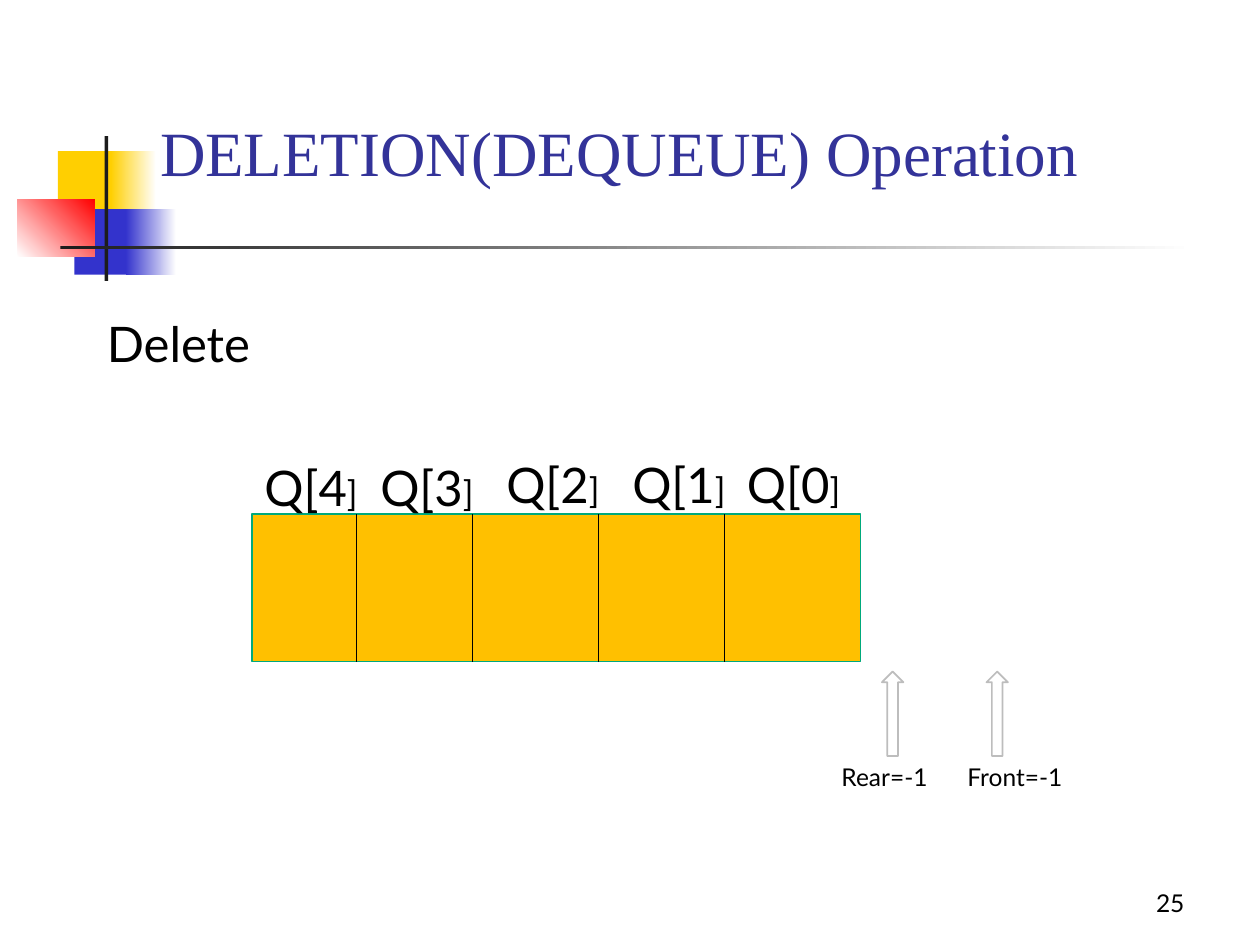
import pptx
import pptx.util
import pptx.dml.color
import pptx.enum.shapes
import pptx.enum.text
import pptx.oxml.ns
import lxml.etree

Inches = pptx.util.Inches
Pt = pptx.util.Pt
RGBColor = pptx.dml.color.RGBColor
Shape = pptx.enum.shapes.MSO_SHAPE
Anchor = pptx.enum.text.MSO_ANCHOR
Align = pptx.enum.text.PP_ALIGN
AutoSize = pptx.enum.text.MSO_AUTO_SIZE

WHITE = RGBColor(0xFF, 0xFF, 0xFF)
BLACK = RGBColor(0x00, 0x00, 0x00)
YELLOW = RGBColor(0xFF, 0xCF, 0x01)
BLUE = RGBColor(0x33, 0x33, 0xCC)
RED = RGBColor(0xFF, 0x00, 0x00)
CHARCOAL = RGBColor(0x1C, 0x1C, 0x1C)
TITLE_BLUE = RGBColor(0x33, 0x33, 0x99)
AMBER = RGBColor(0xFF, 0xC0, 0x00)
GREEN = RGBColor(0x00, 0xA9, 0x7C)
GREY = RGBColor(0xBD, 0xBD, 0xBD)
BODY_FONT = "Lato"
TITLE_FONT = "Times New Roman"


def add_figure(slide, kind, box, colors, outline=None, angle=0):
    """Add a preset shape with one solid colour or a two-colour gradient."""
    figure = slide.shapes.add_shape(kind, *map(Inches, box))
    figure.shadow.inherit = False
    if len(colors) == 1:
        figure.fill.solid()
        figure.fill.fore_color.rgb = colors[0]
    else:
        figure.fill.gradient()
        figure.fill.gradient_angle = angle
        for stop, color in zip(figure.fill.gradient_stops, colors):
            stop.color.rgb = color
    if outline is None:
        figure.line.fill.background()
    else:
        figure.line.color.rgb = outline
        figure.line.width = Pt(1)


def format_run(run, size, font=BODY_FONT, color=BLACK):
    """Set the typeface, size and colour of a run."""
    run.font.name = font
    run.font.size = Pt(size)
    run.font.color.rgb = color


def add_label(slide, box, parts):
    """Add a text box made of (text, size) parts on one line."""
    label = slide.shapes.add_textbox(*map(Inches, box))
    label.text_frame.word_wrap = True
    label.text_frame.auto_size = AutoSize.SHAPE_TO_FIT_TEXT
    for text, size in parts:
        run = label.text_frame.paragraphs[0].add_run()
        run.text = text
        format_run(run, size)
    return label


def add_ornament(slide, left, top):
    """Draw the coloured squares and crossing bars beside the title."""
    pieces = [
        ((0.32, 0.12, 0.48, 0.52), [YELLOW], 0),
        ((0.74, 0.12, 0.36, 0.52), [YELLOW, WHITE], 0),
        ((0.45, 0.58, 0.46, 0.52), [BLUE], 0),
        ((0.86, 0.58, 0.40, 0.52), [BLUE, WHITE], 0),
        ((0, 0.5, 0.61, 0.46), [WHITE, RED], 45),
        ((0.69, 0, 0.03, 1.15), [CHARCOAL], 0),
        ((0.34, 0.87, 9, 0.03), [CHARCOAL, WHITE], 0),
    ]
    for (x, y, width, height), colors, angle in pieces:
        add_figure(slide, Shape.RECTANGLE, (left + x, top + y, width, height),
                   colors, angle=angle)


def add_title(slide, box):
    """Fill and place the title placeholder."""
    title = slide.shapes.title
    title.left, title.top, title.width, title.height = map(Inches, box)
    frame = title.text_frame
    frame.text = "DELETION(DEQUEUE) Operation"
    frame.auto_size = AutoSize.NONE
    frame.vertical_anchor = Anchor.BOTTOM
    frame.paragraphs[0].alignment = Align.LEFT
    format_run(frame.paragraphs[0].runs[0], 36, TITLE_FONT, TITLE_BLUE)


def add_divider(slide, x, top, bottom):
    """Draw a thin vertical line between two queue cells."""
    divider = slide.shapes.add_connector(
        pptx.enum.shapes.MSO_CONNECTOR.STRAIGHT,
        Inches(x), Inches(top), Inches(x), Inches(bottom))
    divider.line.color.rgb = BLACK
    divider.line.width = Pt(0.5)
    lxml.etree.SubElement(divider._element.spPr, pptx.oxml.ns.qn("a:effectLst"))


def add_queue(slide, left, top, width, height):
    """Draw the queue with its dividers and the index above each cell."""
    add_figure(slide, Shape.RECTANGLE, (left, top, width, height), [AMBER], GREEN)
    for offset in (0.83, 1.75, 2.75, 3.75):
        add_divider(slide, left + offset, top, top + height)
    indexes = [(4, 0, 0.5, 0.97), (3, 0.92, 0.5, 1.07), (2, 1.92, 0.52, 1.08),
               (1, 2.92, 0.52, 1.02), (0, 3.83, 0.52, 1.12)]
    for index, offset, rise, label_width in indexes:
        add_label(slide, (left + offset, top - rise, label_width, 0.57),
                  [(f"Q[{index}", 28), ("]", 20)])


def add_pointer(slide, text, left, top, width, arrow_left):
    """Draw an upward arrow with the pointer's value below it."""
    add_figure(slide, Shape.UP_ARROW, (arrow_left, top, 0.17, 0.67), [WHITE], GREY)
    add_label(slide, (left, top + 0.67, width, 0.34), [(text, 14)])


def add_page_number(slide, box):
    """Place the page number at the lower right."""
    number = add_label(slide, box, [("25", 14)])
    number.text_frame.auto_size = AutoSize.NONE
    number.text_frame.vertical_anchor = Anchor.BOTTOM
    number.text_frame.paragraphs[0].alignment = Align.RIGHT


def main():
    """Build the slide and save it."""
    deck = pptx.Presentation()
    deck.slide_width, deck.slide_height = Inches(10), Inches(7.5)
    slide = deck.slides.add_slide(deck.slide_layouts.get_by_name("Title Only"))
    add_ornament(slide, 0.14, 1.08)
    add_title(slide, (1.17, 0.13, 8.28, 1.42))
    add_label(slide, (0.75, 2.44, 1.5, 0.57), [("Delete", 28)])
    add_queue(slide, 2, 4.08, 4.83, 1.17)
    add_pointer(slide, "Rear=-1", 6.58, 5.33, 0.92, 7)
    add_pointer(slide, "Front=-1", 7.58, 5.33, 1, 7.83)
    add_page_number(slide, (7.17, 6.83, 2.33, 0.5))
    deck.save("out.pptx")


if __name__ == "__main__":
    main()
